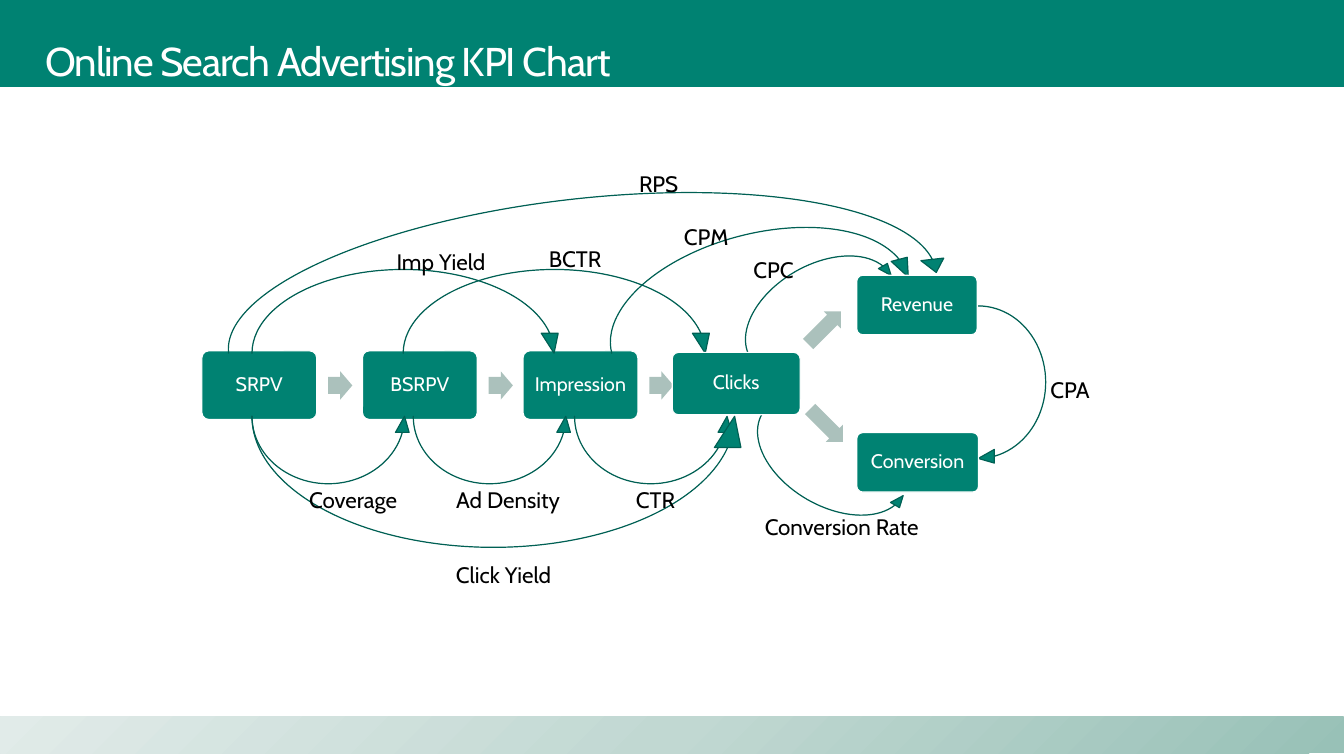
from copy import deepcopy

from pptx import Presentation
from pptx.dml.color import RGBColor
from pptx.enum.shapes import MSO_SHAPE
from pptx.enum.text import MSO_ANCHOR, PP_ALIGN
from pptx.oxml.ns import qn
from pptx.util import Pt

RECT = MSO_SHAPE.RECTANGLE
ROUND = MSO_SHAPE.ROUNDED_RECTANGLE
ARROW = MSO_SHAPE.RIGHT_ARROW
CURVE = MSO_SHAPE.CURVED_DOWN_ARROW
CENTER, LEFT = PP_ALIGN.CENTER, PP_ALIGN.LEFT
TOP, MIDDLE = MSO_ANCHOR.TOP, MSO_ANCHOR.MIDDLE

HUES = {
    "teal": "008272", "edge": "006054", "step": "ABC1BC",
    "white": "FFFFFF", "black": "000000",
    "dark": "98C1B7", "mid": "C1D8D2", "pale": "E1EBE9",
}


def hue(name):
    return RGBColor.from_string(HUES[name])


class Chart:
    """Holds the font and the slide; draws each kind of element."""

    def __init__(self, slide, font="Cabin"):
        self.slide = slide
        self.font = font

    def shape(self, kind, box, fill, line=None, adjust=(), turn=0):
        item = self.slide.shapes.add_shape(kind, *map(Pt, box))
        item.shadow.inherit = False
        item.fill.solid()
        item.fill.fore_color.rgb = hue(fill)
        if line:
            item.line.color.rgb = hue(line)
            item.line.width = Pt(0.85)
        else:
            item.line.fill.background()
        for i, value in enumerate(adjust):
            item.adjustments[i] = value
        item.rotation = turn
        return item

    def words(self, item, text, size, color, align=CENTER, anchor=TOP,
              pad=(7.2, 3.6), lead=1.0):
        frame = item.text_frame
        frame.text = text
        frame.word_wrap = True
        frame.vertical_anchor = anchor
        frame.margin_left = frame.margin_right = Pt(pad[0])
        frame.margin_top = frame.margin_bottom = Pt(pad[1])
        line = frame.paragraphs[0]
        line.alignment = align
        line.line_spacing = lead
        run = line.runs[0]
        run.font.name = self.font
        run.font.size = Pt(size)
        run.font.color.rgb = hue(color)
        return run

    def title(self, text, box):
        item = self.slide.shapes.add_textbox(*map(Pt, box))
        run = self.words(item, text, 28.7, "white", LEFT, pad=(11.5, 7.2), lead=0.9)
        run.font._element.set("spc", "-80")

    def fade(self, box, colors, angle):
        item = self.shape(RECT, box, colors[0])
        item.fill.gradient()
        item.fill.gradient_angle = angle
        stops = item._element.spPr.find(".//" + qn("a:gsLst"))
        stops.insert(1, deepcopy(stops[0]))
        for i, stop in enumerate(item.fill.gradient_stops):
            stop.color.rgb = hue(colors[i])
            stop.position = i / 2

    def node(self, text, box):
        item = self.shape(ROUND, box, "teal", "white", [0.1])
        self.words(item, text, 14, "white", anchor=MIDDLE, pad=(5.5, 5.5), lead=0.9)

    def step(self, box, turn=0):
        self.shape(ARROW, box, "step", adjust=[0.6, 0.5], turn=turn)

    def curve(self, box, turn=0, flip="", head=0.238):
        item = self.shape(CURVE, box, "teal", "edge", [0, 0.202, head], turn)
        for side in flip:
            item._element.spPr.xfrm.set("flip" + side, "1")

    def label(self, text, left, top, width):
        item = self.slide.shapes.add_textbox(Pt(left), Pt(top), Pt(width), Pt(27.4))
        self.words(item, text, 16, "black")


def main():
    deck = Presentation()
    deck.slide_width, deck.slide_height = Pt(960), Pt(540)
    chart = Chart(deck.slides.add_slide(deck.slide_layouts[6]))

    # Bands and title
    chart.fade((0, 512, 960, 26), ("dark", "mid", "pale"), 135)
    chart.shape(RECT, (0, 0, 960, 62), "teal")
    chart.title("Online Search Advertising KPI Chart", (20.9, 23, 854.6, 104.4))

    # Chain of page views up to the clicks
    for i, name in enumerate(("SRPV", "BSRPV", "Impression")):
        left = 144.2 + 114.7 * i
        chart.node(name, (left, 250.6, 82, 49))
        chart.step((left + 90.2, 265.2, 17.3, 20.2))

    # Arcs above the chain
    chart.curve((157, 141.8, 517, 81.4), 353.5, head=0.118)
    for left in (180, 288):
        chart.curve((left, 192.5, 221.8, 59.8))
    chart.curve((426.2, 167, 224.6, 58.3), 345.6)
    chart.curve((518.4, 190.8, 120.2, 36.7), 149.9, "HV")

    # Arcs below and beside the chain
    for i in range(3):
        chart.curve((180 + 115.2 * i, 297.4, 113.8, 48.2), flip="V")
    chart.curve((180, 297.4, 354.2, 93.6), flip="V")
    chart.curve((666, 251.3, 113.8, 48.2), 270, "HV")
    chart.curve((527, 323.3, 120.2, 36.7), 210.1, "H")

    # Names of the ratios
    for label in (
        ("Imp Yield", 270, 173.5, 90),
        ("CTR", 444.2, 343.4, 48.2),
        ("Ad Density", 311.8, 343.4, 102.2),
        ("Coverage", 210.2, 343.4, 84.2),
        ("Conversion Rate", 526.3, 363.2, 149.8),
        ("CPM", 477.4, 155.5, 54),
        ("BCTR", 380.9, 171.4, 59.8),
        ("Click Yield", 311.8, 397.4, 95.8),
        ("RPS", 422.6, 118.1, 95.8),
        ("CPC", 525.6, 179.3, 54),
        ("CPA", 716.4, 265, 95.8),
    ):
        chart.label(*label)

    # Clicks and the two outcomes
    chart.node("Clicks", (480.2, 251.7, 91.4, 44.6))
    chart.node("Conversion", (612, 309, 87, 42.5))
    chart.node("Revenue", (612, 196.6, 86, 42.5))
    chart.step((572.4, 225.4, 33.1, 17.3), 315)
    chart.step((573.8, 295.2, 33.1, 17.3), 45)

    deck.save("out.pptx")


if __name__ == "__main__":
    main()
